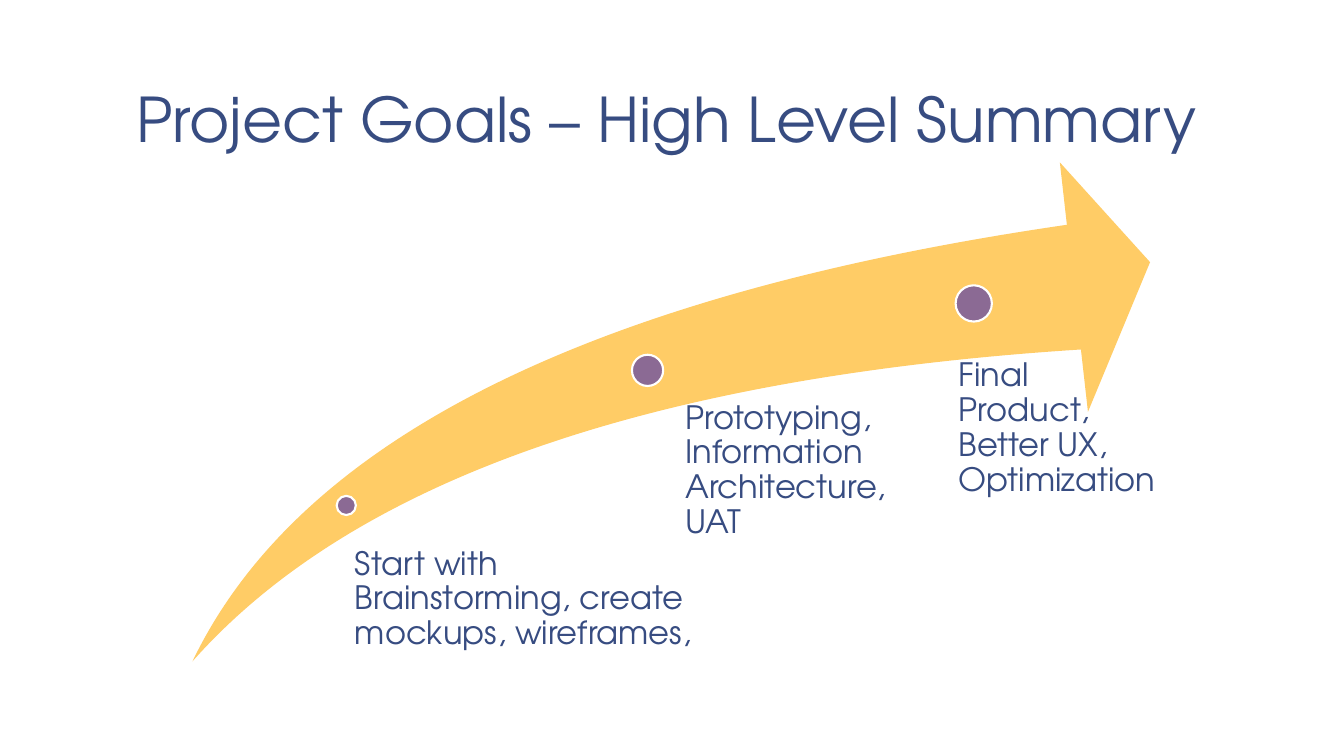
from pptx import Presentation
from pptx import util as u
from pptx.dml.color import RGBColor
from pptx.enum import shapes, text

Pt = u.Pt
FONT = "TeX Gyre Adventor"
COLORS = {"ink": "374C81", "arrow": "FFCC66", "dot": "8B6A94", "rim": "FFFFFF"}


def tint(name):
    return RGBColor.from_string(COLORS[name])


def write(shape, words, size, space, pads):
    """Fill the text frame; pads are the side and the top/bottom insets."""
    frame = shape.text_frame
    frame.word_wrap = True
    frame.auto_size = text.MSO_AUTO_SIZE.NONE
    frame.margin_left = frame.margin_right = Pt(pads[0])
    frame.margin_top = frame.margin_bottom = Pt(pads[1])
    frame.text = words
    para = frame.paragraphs[0]
    para.alignment = text.PP_ALIGN.LEFT
    para.line_spacing = space
    para.font.size = Pt(size)
    para.font.name = FONT
    para.font.color.rgb = tint("ink")
    return frame


deck = Presentation()
deck.slide_width, deck.slide_height = Pt(960), Pt(540)
slide = deck.slides.add_slide(deck.slide_layouts[5])

title = slide.shapes.title
title.left, title.top, title.width, title.height = Pt(88), Pt(6), Pt(800), Pt(110)
frame = write(title, "Project Goals – High Level Summary", 44, 0.85, (9.4, 5))
frame.vertical_anchor = text.MSO_ANCHOR.BOTTOM

arrow = slide.shapes.add_shape(
    shapes.MSO_SHAPE.SWOOSH_ARROW, Pt(137.5), Pt(116), Pt(684), Pt(356.4))
arrow.shadow.inherit = False
arrow.fill.solid()
arrow.fill.fore_color.rgb = tint("arrow")
arrow.line.fill.background()

# Each step: words, text box, then left, top and size of its dot
steps = [
    ("Start with Brainstorming, create mockups, wireframes,",
     (240.5, 378, 273, 138), (240.5, 354.2, 13.7)),
    ("Prototyping, Information Architecture, UAT",
     (476.6, 273.6, 193.7, 113.8), (451.4, 253.4, 22.3)),
    ("Final Product, Better UX, Optimization",
     (671.8, 243.4, 171.4, 92.9), (682.6, 203.8, 25.9)),
]
for words, area, (left, top, size) in steps:
    box = slide.shapes.add_textbox(*map(Pt, area))
    write(box, words, 23, 0.9, (13, 13))
    dot = slide.shapes.add_shape(
        shapes.MSO_SHAPE.OVAL, Pt(left), Pt(top), Pt(size), Pt(size))
    dot.shadow.inherit = False
    dot.fill.solid()
    dot.fill.fore_color.rgb = tint("dot")
    dot.line.color.rgb = tint("rim")
    dot.line.width = Pt(1.5)

deck.save("out.pptx")
